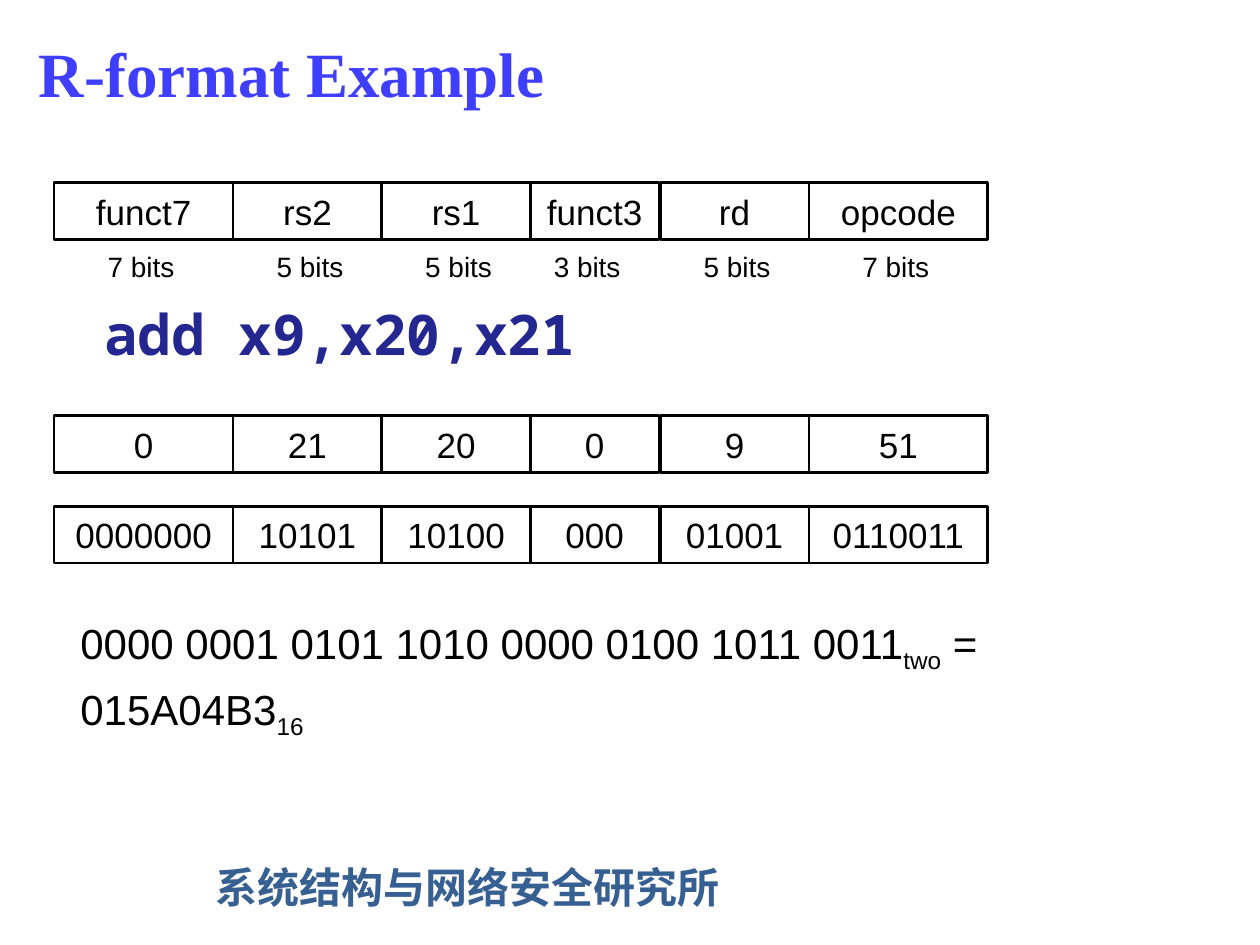
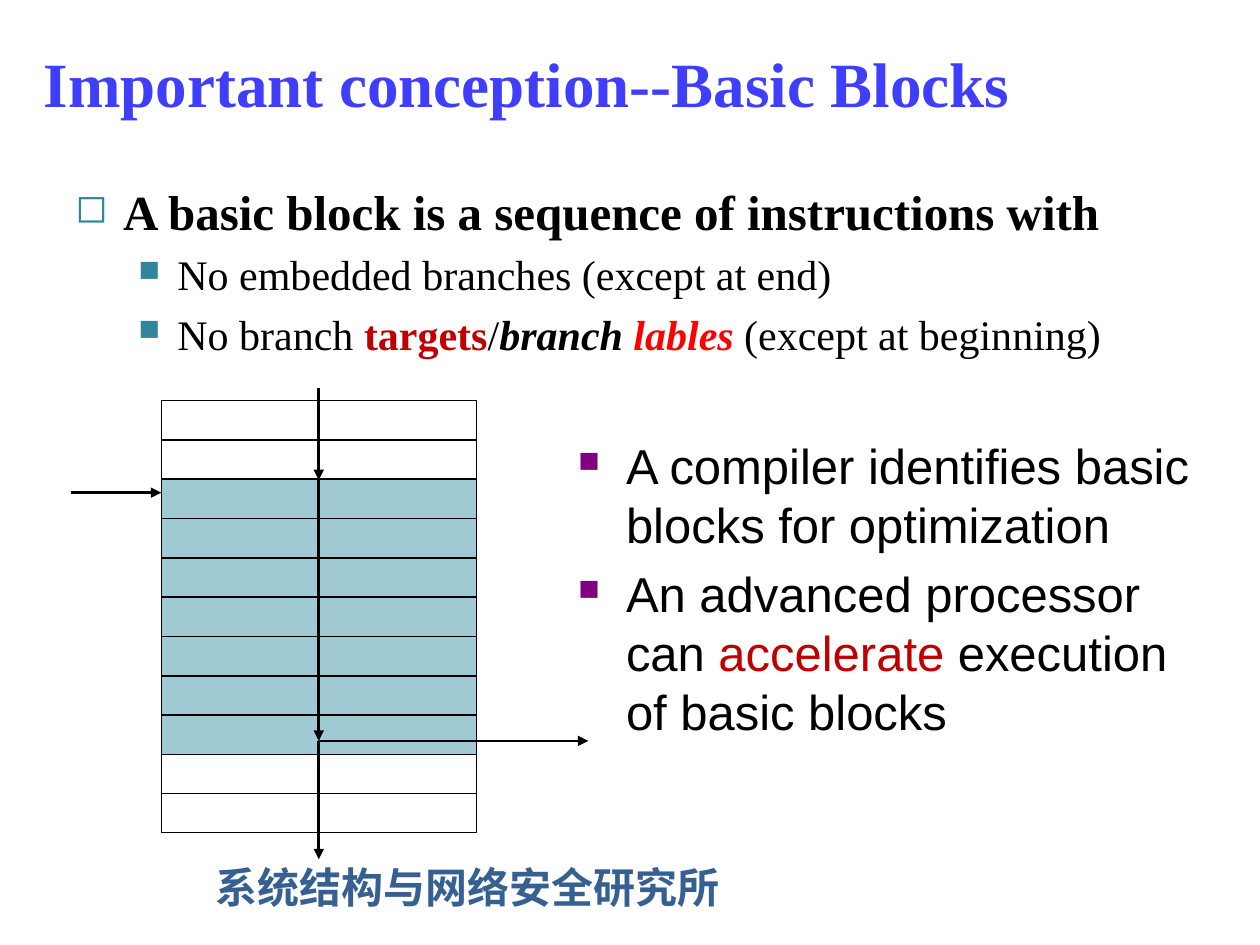
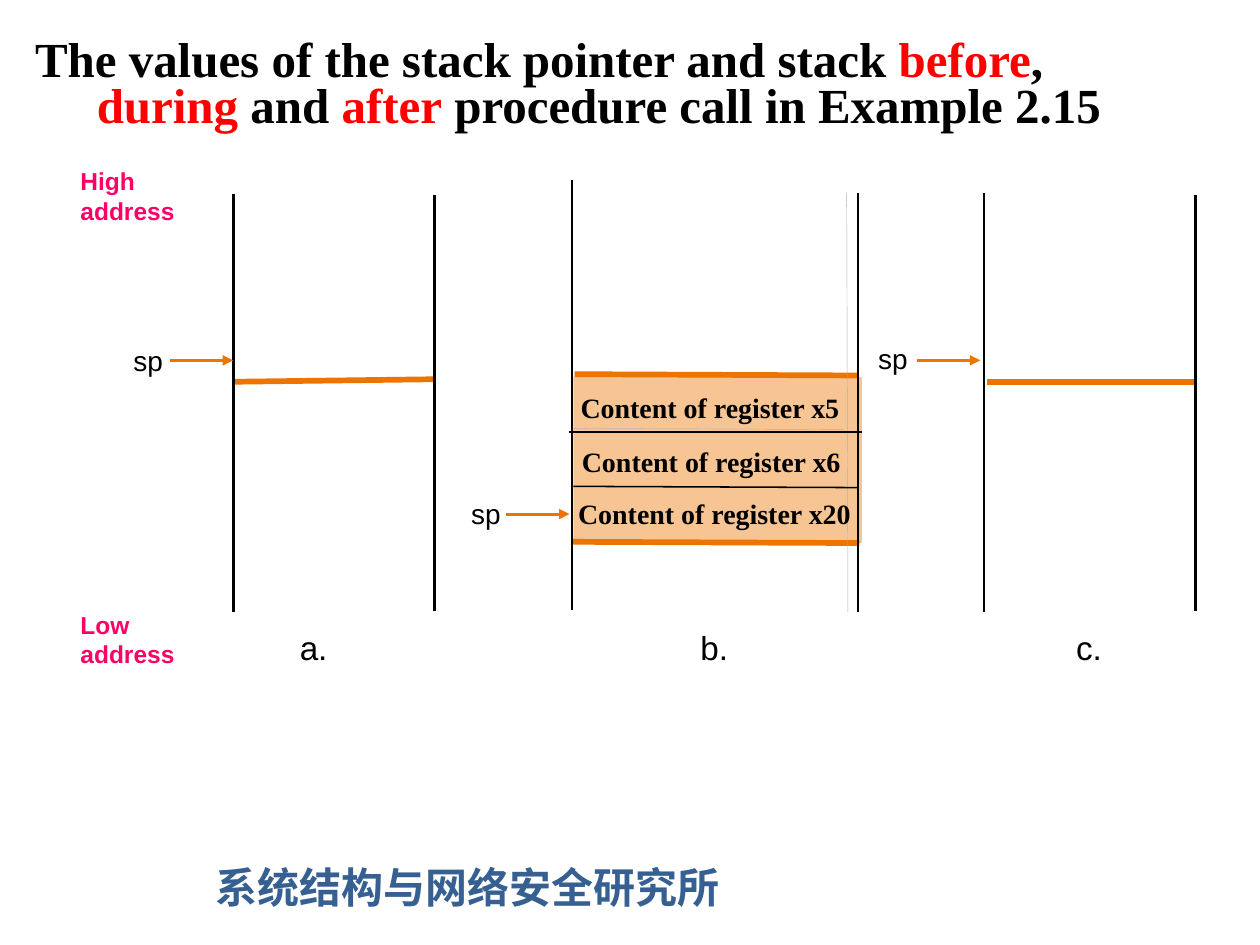
from lxml.etree import SubElement as Sub
from pptx import Presentation
from pptx.dml.color import RGBColor
from pptx.enum.shapes import MSO_CONNECTOR as Link, MSO_SHAPE as Kind
from pptx.enum.text import MSO_ANCHOR as Anchor, PP_ALIGN as Align
from pptx.oxml.ns import qn
from pptx.util import Inches, Pt

rgb = RGBColor.from_string
SERIF, SANS, MONO, CJK = "Times New Roman", "Arial", "Noto Sans Mono", "Noto Sans CJK SC"
BLACK, BLUE, NAVY, STEEL = "000000", "3E3EFC", "242790", "376092"
RED, DARK, PINK, ORANGE = "FF0000", "C00000", "FF0066", "EB7500"
TEAL, AQUA, PURPLE, PEACH, GREY = "31859C", "9FCAD3", "800080", "F7C594", "B0B0B0"


def box(slide, x, y, w, h, paras, size=20, font=SANS, color=BLACK, bold=False,
        align=Align.LEFT, anchor=Anchor.TOP, pad=True, gap=0, marks=(), fill=None, edge=0):
    """Text box or framed rectangle; a paragraph is a string or a list of (text, style) runs."""
    area = [Inches(n) for n in (x, y, w, h)]
    if fill or edge:
        shape = slide.shapes.add_shape(Kind.RECTANGLE, *area)
        shape.shadow.inherit = False
        if fill:
            shape.fill.solid()
            shape.fill.fore_color.rgb = rgb(fill)
        else:
            shape.fill.background()
        if edge:
            shape.line.color.rgb = rgb(BLACK)
            shape.line.width = Pt(edge)
        else:
            shape.line.fill.background()
    else:
        shape = slide.shapes.add_textbox(*area)
    frame = shape.text_frame
    frame.word_wrap = True
    frame.vertical_anchor = anchor
    if not pad:
        frame.margin_left = frame.margin_right = frame.margin_top = frame.margin_bottom = 0
    for i, runs in enumerate(paras):
        p = frame.add_paragraph() if i else frame.paragraphs[0]
        p.alignment = align
        if i:
            p.space_before = Pt(gap)
        if marks:
            char, tint, part, left, hang = marks[i]
            props = p._p.get_or_add_pPr()
            props.set("marL", str(Inches(left)))
            props.set("indent", str(-Inches(hang)))
            if char:
                Sub(Sub(props, qn("a:buClr")), qn("a:srgbClr"), val=tint)
                Sub(props, qn("a:buSzPct"), val=str(part * 1000))
                Sub(props, qn("a:buChar"), char=char)
        p.font.size, p.font.name, p.font.bold = Pt(size), font, bold
        p.font.color.rgb = rgb(color)
        Sub(p.font._element, qn("a:ea"), typeface=font)
        for words, style in [(runs, {})] if isinstance(runs, str) else runs:
            if words == "\n":
                p.add_line_break()
                continue
            run = p.add_run()
            run.text = words
            if "color" in style:
                run.font.color.rgb = rgb(style["color"])
            if "bold" in style:
                run.font.bold = True
            if "italic" in style:
                run.font.italic = True
            if "sub" in style:
                run.font._element.set("baseline", "-25000")
    return shape


def line(slide, x1, y1, x2, y2, color=BLACK, width=1.5, arrow=False):
    link = slide.shapes.add_connector(Link.STRAIGHT, *[Inches(n) for n in (x1, y1, x2, y2)])
    link.line.color.rgb = rgb(color)
    link.line.width = Pt(width)
    if arrow:
        Sub(link.line._get_or_add_ln(), qn("a:tailEnd"), type="triangle")
    Sub(link._element.spPr, qn("a:effectLst"))


# Slides with the shared footer and title style
deck = Presentation()
deck.slide_width, deck.slide_height = Inches(10), Inches(7.5)
red = {"color": RED}
last = [("The values of the stack pointer and stack ", {}), ("before", red), (",", {}),
        ("\n", {}), ("during", red), (" and ", {}), ("after", red),
        (" procedure call in Example 2.15", {})]
heads = [
    ("R-format Example", 0.21, 0.13, 8.33, 0.89, 36, BLUE, 0),
    ("Important conception--Basic Blocks", 0.25, 0.13, 8.61, 1.04, 36, BLUE, 0),
    (last, 0.18, 0.07, 9.34, 1.25, 28, BLACK, 0.49),
]
slides = []
for words, x, y, w, h, size, color, hang in heads:
    slide = deck.slides.add_slide(deck.slide_layouts[6])
    box(slide, 1.61, 6.79, 5.28, 0.5, ["系统结构与网络安全研究所"], 24, CJK, STEEL, True)
    title = box(slide, x, y, w, h, [words], size, SERIF, color, True,
                anchor=Anchor.MIDDLE, marks=[("", "", 0, hang, hang)])
    slides.append(slide)
format_, blocks, stack = slides
title.text_frame.paragraphs[0].line_spacing = Pt(26)

# Instruction fields: left, width, label left, bits, then one value per row
fields = [
    (0.43, 1.42, 0.75, 7, "funct7", "0", "0000000"),
    (1.85, 1.18, 2.09, 5, "rs2", "21", "10101"),
    (3.03, 1.18, 3.27, 5, "rs1", "20", "10100"),
    (4.21, 1.02, 4.29, 3, "funct3", "0", "000"),
    (5.24, 1.18, 5.48, 5, "rd", "9", "01001"),
    (6.42, 1.42, 6.74, 7, "opcode", "51", "0110011"),
]
for x, w, tag, bits, *cells in fields:
    for y, cell in zip((1.45, 3.3, 4.02), cells):
        box(format_, x, y, w, 0.45, [cell], align=Align.CENTER, anchor=Anchor.MIDDLE, edge=1.5)
    box(format_, tag, 1.98, 0.74, 0.27, [f"{bits} bits"], 16, align=Align.CENTER, pad=False)

# Instruction and its code
box(format_, 0.35, 2.33, 9.05, 0.71, ["add x9,x20,x21"], 32, MONO, NAVY, True,
    marks=[("", "", 0, 0.38, 0)])
box(format_, 0.54, 4.85, 7.94, 1.55, [
    [("0000 0001 0101 1010 0000 0100 1011 0011", {}), ("two", {"sub": 1}), (" =", {})],
    [("015A04B3", {}), ("16", {"sub": 1})],
], 24, gap=5)

# Definition of a basic block
point = ("■", TEAL, 70, 0.81, 0.31)
body = box(blocks, 0.5, 1.39, 9, 1.7, [
    "A basic block is a sequence of instructions with",
    "No embedded branches (except at end)",
    [("No branch ", {}), ("targets", {"color": DARK, "bold": 1}), ("/", {}),
     ("branch ", {"bold": 1, "italic": 1}),
     ("lables", {"color": RED, "bold": 1, "italic": 1}), (" (except at beginning)", {})],
], 24, SERIF, gap=5, marks=[("◻", TEAL, 80, 0.38, 0.38), point, point])
lead = body.text_frame.paragraphs[0].font
lead.size, lead.bold = Pt(28), True

# Use of basic blocks
box(blocks, 4.49, 3.41, 5.11, 2.6, [
    "A compiler identifies basic blocks for optimization",
    [("An advanced processor can ", {}), ("accelerate", {"color": DARK}),
     (" execution of basic blocks", {})],
], 28, gap=6, marks=[("■", PURPLE, 60, 0.38, 0.38)] * 2)

# Instruction column with the block shaded, and the flow through it
for i in range(11):
    box(blocks, 1.28, 3.18 + i * 3.12 / 10, 2.5, 0.31, [],
        fill=AQUA if 2 <= i <= 8 else None, edge=0.75)
mid = 2.53
for ends in [(mid, 3.08, mid, 3.81), (mid, 3.81, mid, 5.88), (mid, 5.88, mid, 6.82),
             (mid, 5.88, 4.67, 5.88), (0.56, 3.91, 1.28, 3.91)]:
    line(blocks, *ends, arrow=True)

# Saved registers on the stack
box(stack, 4.55, 2.99, 2.29, 1.32, [], fill=PEACH)
for ends in [(4.56, 2.97, 6.81, 2.98), (4.54, 4.3, 6.82, 4.31),
             (7.83, 3.03, 9.49, 3.03), (1.85, 3.03, 3.45, 3.01)]:
    line(stack, *ends, ORANGE, 3.25)
for ends in [(4.55, 3.4, 6.7, 3.41), (6.72, 1.53, 6.73, 4.86)]:
    line(stack, *ends, GREY, 0.25)
for ends in [(4.52, 3.43, 6.84, 3.43), (4.55, 3.86, 6.81, 3.87)]:
    line(stack, *ends, width=0.88)
for x, y, w, reg in [(4.51, 3.05, 2.36, "x5"), (4.52, 3.48, 2.36, "x6"), (4.49, 3.89, 2.53, "x20")]:
    box(stack, x, y, w, 0.37, [f"Content of register {reg}"], 16, SERIF, bold=True)

# Walls of the three stacks
for x, top, end in [(1.85, 1.54, 4.86), (3.45, 1.55, 4.85), (4.54, 1.43, 4.84),
                    (6.81, 1.53, 4.86), (7.81, 1.53, 4.86), (9.49, 1.55, 4.85)]:
    line(stack, x, top, x, end, width=1.63)

# Stack pointers, captions and address ends
for x, y, tip, row in [(1.06, 2.73, 1.85, 2.86), (3.74, 3.94, 4.52, 4.08), (6.97, 2.71, 7.78, 2.86)]:
    box(stack, x, y, 0.27, 0.27, ["sp"], 16, pad=False)
    line(stack, tip - 0.5, row, tip, row, ORANGE, 1.63, True)
for x, name in [(2.38, "a."), (5.56, "b."), (8.54, "c.")]:
    box(stack, x, 4.98, 0.3, 0.28, [name], 19, pad=False)
for y, name in [(1.27, "High address"), (4.79, "Low address")]:
    box(stack, 0.54, y, 1.1, 0.55, [name], 14, color=PINK, bold=True)

deck.save("out.pptx")
